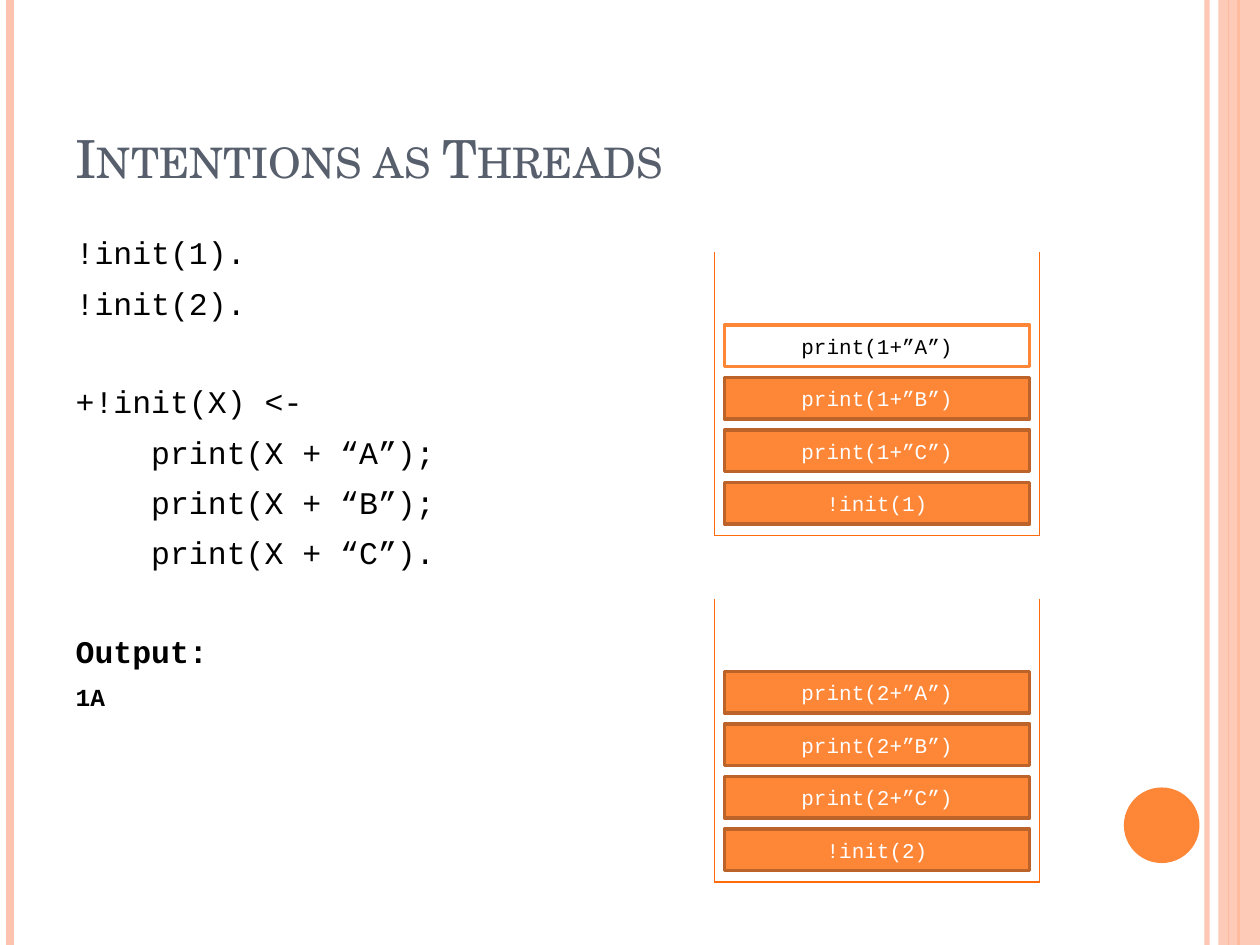
"""Build the slide showing agent intentions as two thread stacks."""
from lxml import etree
from pptx import Presentation
from pptx.dml.color import RGBColor
from pptx.enum.shapes import MSO_CONNECTOR, MSO_SHAPE
from pptx.enum.text import MSO_ANCHOR, MSO_AUTO_SIZE, PP_ALIGN
from pptx.oxml.ns import qn
from pptx.util import Inches, Pt

STRAIGHT = MSO_CONNECTOR.STRAIGHT
RECTANGLE, OVAL = MSO_SHAPE.RECTANGLE, MSO_SHAPE.OVAL
LEFT, CENTER = PP_ALIGN.LEFT, PP_ALIGN.CENTER
MIDDLE, BOTTOM = MSO_ANCHOR.MIDDLE, MSO_ANCHOR.BOTTOM

THEME = {
    "title_font": "TeX Gyre Schola", "code_font": "Courier New",
    "title_size": 30, "code_size": 18, "output_size": 14, "box_size": 12,
    "title": "575F6D", "text": "000000", "white": "FFFFFF",
    "accent": "FE8637", "border": "BC6329", "frame": "FF6B0A", "pale": "FEC3AE",
    "line_gap": 7.2, "section_gap": 34.8,
}
TITLE = "Intentions as Threads"
SECTIONS = [
    ["!init(1).", "!init(2)."],
    ["+!init(X) <-", "    print(X + “A”);", "    print(X + “B”);", "    print(X + “C”)."],
    ["Output:", "1A"],
]
BOLD_LINES = {"Output:": "code_size", "1A": "output_size"}
STACKS = [
    (2, ["print(1+”A”)", "print(1+”B”)", "print(1+”C”)", "!init(1)"]),
    (4.75, ["print(2+”A”)", "print(2+”B”)", "print(2+”C”)", "!init(2)"]),
]
RUNNING = "print(1+”A”)"
SIDE_LINES = [
    (9.58, "pale", 3, 93), (0.08, "pale", 4.5, 100),
    (9.83, "accent", 1.5, 100), (9.75, "accent", 0.75, 100),
]
FRAME_LEFT, FRAME_RIGHT, FRAME_HEIGHT = 5.67, 8.25, 2.25
BOX_LEFT, BOX_WIDTH, BOX_HEIGHT = 5.75, 2.42, 0.33
FIRST_BOX, BOX_PITCH = 0.58, 1.25 / 3


def color(name):
    return RGBColor.from_string(THEME[name])


def set_alpha(element, percent):
    for solid in element.iter(qn("a:srgbClr")):
        etree.SubElement(solid, qn("a:alpha")).set("val", str(percent * 1000))


def style_font(font, face, size, color_name, bold=False):
    font.name, font.size, font.bold = THEME[face], Pt(THEME[size]), bold
    font.color.rgb = color(color_name)


def add_line(slide, start, end, color_name, width, alpha=100):
    line = slide.shapes.add_connector(STRAIGHT, *map(Inches, start + end))
    line.line.color.rgb, line.line.width = color(color_name), Pt(width)
    properties = line._element.spPr
    etree.SubElement(properties, qn("a:effectLst"))
    if alpha < 100:
        set_alpha(properties, alpha)


def add_filled(slide, kind, place, fill, border=None):
    shape = slide.shapes.add_shape(kind, *map(Inches, place))
    shape.shadow.inherit = False
    shape.fill.solid()
    shape.fill.fore_color.rgb = color(fill)
    if border:
        shape.line.color.rgb, shape.line.width = color(border), Pt(2)
    else:
        shape.line.fill.background()
    return shape


def place_placeholder(shape, left, top, width, height):
    shape.left, shape.top = Inches(left), Inches(top)
    shape.width, shape.height = Inches(width), Inches(height)
    shape.text_frame.word_wrap = True
    shape.text_frame.auto_size = MSO_AUTO_SIZE.NONE


def add_decoration(slide):
    for x, color_name, width, alpha in SIDE_LINES:
        add_line(slide, (x, 0), (x, 7.5), color_name, width, alpha)
    band = add_filled(slide, RECTANGLE, (9.67, 0, 0.33, 7.5), "pale")
    set_alpha(band._element.spPr, 87)
    add_filled(slide, OVAL, (8.92, 6.25, 0.6, 0.6), "accent")


def fill_title(shape):
    place_placeholder(shape, 0.5, 0.3, 8.17, 1.25)
    frame = shape.text_frame
    frame.text, frame.vertical_anchor = TITLE, BOTTOM
    paragraph = frame.paragraphs[0]
    paragraph.alignment = LEFT
    run = paragraph.runs[0]
    style_font(run.font, "title_font", "title_size", "title")
    run._r.get_or_add_rPr().set("cap", "small")


def fill_code(shape):
    place_placeholder(shape, 0.5, 1.75, 4, 5)
    frame = shape.text_frame
    frame.margin_top = Inches(0.1)
    lines = [line for section in SECTIONS for line in section]
    section_starts = [section[0] for section in SECTIONS]
    frame.text = "\n".join(lines)
    for index, (paragraph, line) in enumerate(zip(frame.paragraphs, lines)):
        properties = paragraph._p.get_or_add_pPr()
        properties.set("marL", "0")
        properties.set("indent", "0")
        etree.SubElement(properties, qn("a:buNone"))
        gap = "section_gap" if line in section_starts else "line_gap"
        paragraph.space_before = Pt(THEME[gap] if index else 0)
        size = BOLD_LINES.get(line, "code_size")
        style_font(paragraph.runs[0].font, "code_font", size, "text", line in BOLD_LINES)


def add_stack(slide, top, labels):
    bottom = top + FRAME_HEIGHT
    for x in (FRAME_LEFT, FRAME_RIGHT):
        add_line(slide, (x, top), (x, bottom), "frame", 1)
    add_line(slide, (FRAME_RIGHT, bottom), (FRAME_LEFT, bottom), "frame", 1)
    for index, label in enumerate(labels):
        fill, border, ink = (
            ("white", "accent", "text") if label == RUNNING
            else ("accent", "border", "white")
        )
        place = (BOX_LEFT, top + FIRST_BOX + index * BOX_PITCH, BOX_WIDTH, BOX_HEIGHT)
        box = add_filled(slide, RECTANGLE, place, fill, border)
        box.text_frame.text = label
        box.text_frame.vertical_anchor = MIDDLE
        paragraph = box.text_frame.paragraphs[0]
        paragraph.alignment = CENTER
        style_font(paragraph.runs[0].font, "code_font", "box_size", ink)


def main():
    presentation = Presentation()
    presentation.slide_width, presentation.slide_height = Inches(10), Inches(7.5)
    slide = presentation.slides.add_slide(presentation.slide_layouts[1])
    add_decoration(slide)
    fill_title(slide.shapes.title)
    fill_code(slide.placeholders[1])
    for top, labels in STACKS:
        add_stack(slide, top, labels)
    presentation.save("out.pptx")


if __name__ == "__main__":
    main()
